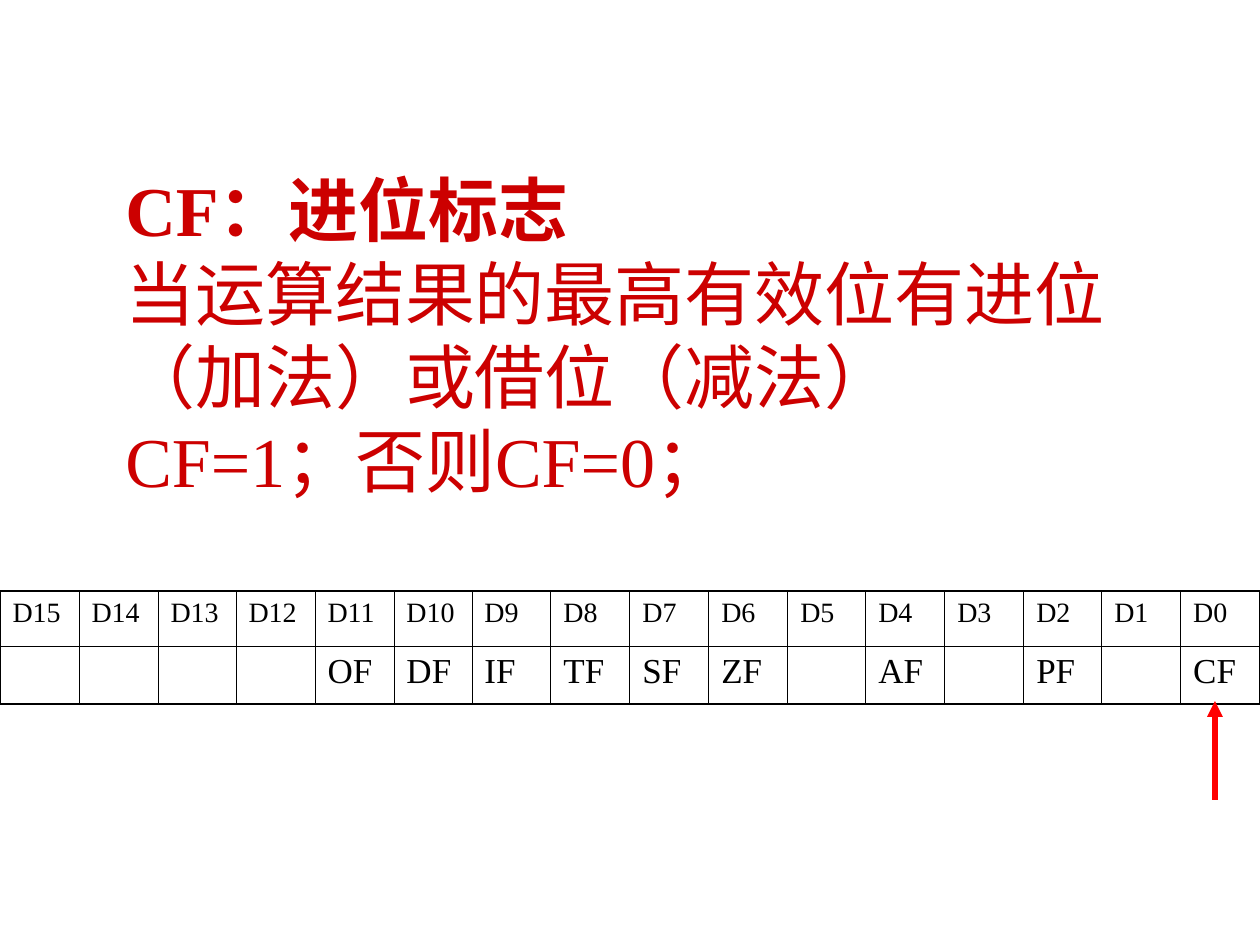
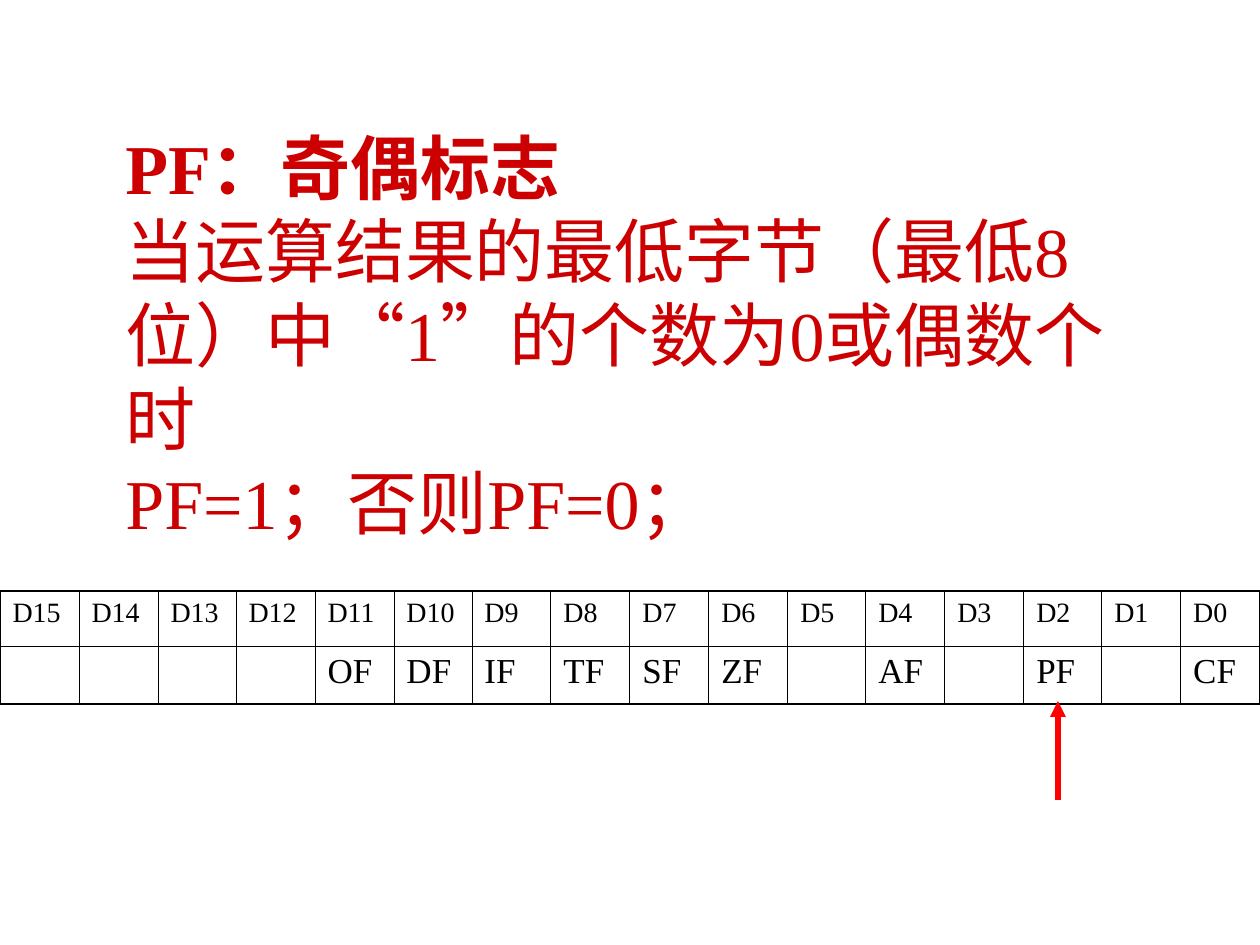
from collections import namedtuple
from dataclasses import dataclass

from lxml.etree import SubElement
from pptx import Presentation
from pptx.dml.color import RGBColor
from pptx.enum.lang import MSO_LANGUAGE_ID
from pptx.enum.shapes import MSO_CONNECTOR
from pptx.enum.text import MSO_ANCHOR
from pptx.oxml.ns import qn
from pptx.util import Emu, Pt

Box = namedtuple("Box", "left top width height")


@dataclass(frozen=True)
class Theme:
    """Colours, font and sizes that both slides share."""
    font: str = "Times New Roman"
    heading: str = "CC0000"
    ink: str = "000000"
    paper: str = "FFFFFF"
    pointer: str = "FF0000"
    heading_size: int = 40
    bit_size: int = 16
    flag_size: int = 20
    inner_border: float = 0.45
    outer_border: float = 1.08
    pointer_width: int = 3


THEME = Theme()
SLIDE_WIDTH, SLIDE_HEIGHT = 1260, 945
TEXT_BOX = Box(113, 255, 1071, 158)
REGISTER_BOX = Box(0, 591, SLIDE_WIDTH, 113)
BIT_ROW_HEIGHT = 55
POINTER_TOP, POINTER_HEIGHT, POINTER_INDENT = 701, 99, 34

BIT_COUNT = 16
FLAGS = {11: "OF", 10: "DF", 9: "IF", 8: "TF", 7: "SF", 6: "ZF", 4: "AF", 2: "PF", 0: "CF"}

FLAG_SLIDES = [
    (0, "CF：进位标志",
     "当运算结果的最高有效位有进位（加法）或借位（减法）\nCF=1；否则CF=0；"),
    (2, "PF：奇偶标志",
     "当运算结果的最低字节（最低8位）中“1”的个数为0或偶数个时\nPF=1；否则PF=0；"),
]


def px(length):
    """Turn a length in px into EMU."""
    return Emu(round(length * 914400 / 126))


def column_left(box, column):
    """Return the left edge in px of a register column."""
    return box.left + round(box.width * column / BIT_COUNT)


def add_text(paragraph, text, *, size, color, bold=False):
    """Append text to a paragraph, with a line break at each newline."""
    for index, line in enumerate(text.split("\n")):
        if index:
            paragraph.add_line_break()
        run = paragraph.add_run()
        run.text = line
        font = run.font
        font.name, font.size, font.bold = THEME.font, Pt(size), bold
        font.color.rgb = RGBColor.from_string(color)
        font.language_id = MSO_LANGUAGE_ID.SIMPLIFIED_CHINESE


def add_explanation(slide, box, heading, body):
    """Place the bold flag heading and its explanation in one box."""
    shape = slide.shapes.add_textbox(*map(px, box))
    frame = shape.text_frame
    frame.word_wrap = True
    frame.vertical_anchor = MSO_ANCHOR.MIDDLE
    paragraph = frame.paragraphs[0]
    style = {"size": THEME.heading_size, "color": THEME.heading}
    add_text(paragraph, heading, bold=True, **style)
    paragraph.add_line_break()
    add_text(paragraph, body, **style)


def set_borders(cell, outer_sides):
    """Draw the four cell borders, heavier on the outer sides."""
    properties = cell._tc.get_or_add_tcPr()
    for side in "LRTB":
        width = THEME.outer_border if side in outer_sides else THEME.inner_border
        line = SubElement(properties, qn(f"a:ln{side}"), w=str(Pt(width)))
        fill = SubElement(line, qn("a:solidFill"))
        SubElement(fill, qn("a:srgbClr"), val=THEME.ink)


def add_register(slide, box):
    """Place the table of register bits and their flags."""
    table = slide.shapes.add_table(2, BIT_COUNT, *map(px, box)).table
    table.first_row = table.horz_banding = False
    table.rows[0].height = px(BIT_ROW_HEIGHT)
    table.rows[1].height = px(box.height - BIT_ROW_HEIGHT)
    for column in range(BIT_COUNT):
        left, right = column_left(box, column), column_left(box, column + 1)
        table.columns[column].width = px(right - left)
        bit = BIT_COUNT - 1 - column
        side = {0: "L", BIT_COUNT - 1: "R"}.get(column, "")
        entries = [(f"D{bit}", THEME.bit_size, "T"), (FLAGS.get(bit), THEME.flag_size, "B")]
        for row, (label, size, edge) in enumerate(entries):
            cell = table.cell(row, column)
            set_borders(cell, side + edge)
            cell.fill.solid()
            cell.fill.fore_color.rgb = RGBColor.from_string(THEME.paper)
            if label:
                add_text(cell.text_frame.paragraphs[0], label, size=size, color=THEME.ink)


def add_pointer(slide, box, bit):
    """Point an upward arrow at the column of one bit."""
    x = px(column_left(box, BIT_COUNT - 1 - bit) + POINTER_INDENT)
    connector = slide.shapes.add_connector(
        MSO_CONNECTOR.STRAIGHT, x, px(POINTER_TOP + POINTER_HEIGHT), x, px(POINTER_TOP))
    connector.line.color.rgb = RGBColor.from_string(THEME.pointer)
    connector.line.width = Pt(THEME.pointer_width)
    SubElement(connector.line._get_or_add_ln(), qn("a:tailEnd"), type="triangle")
    SubElement(connector._element.spPr, qn("a:effectLst"))


def add_flag_slide(presentation, bit, heading, body):
    """Add a slide that explains the flag held in one bit."""
    slide = presentation.slides.add_slide(presentation.slide_layouts[6])
    add_explanation(slide, TEXT_BOX, heading, body)
    add_register(slide, REGISTER_BOX)
    add_pointer(slide, REGISTER_BOX, bit)


def main():
    """Build and save the presentation."""
    presentation = Presentation()
    presentation.slide_width, presentation.slide_height = px(SLIDE_WIDTH), px(SLIDE_HEIGHT)
    for bit, heading, body in FLAG_SLIDES:
        add_flag_slide(presentation, bit, heading, body)
    presentation.save("out.pptx")


if __name__ == "__main__":
    main()
